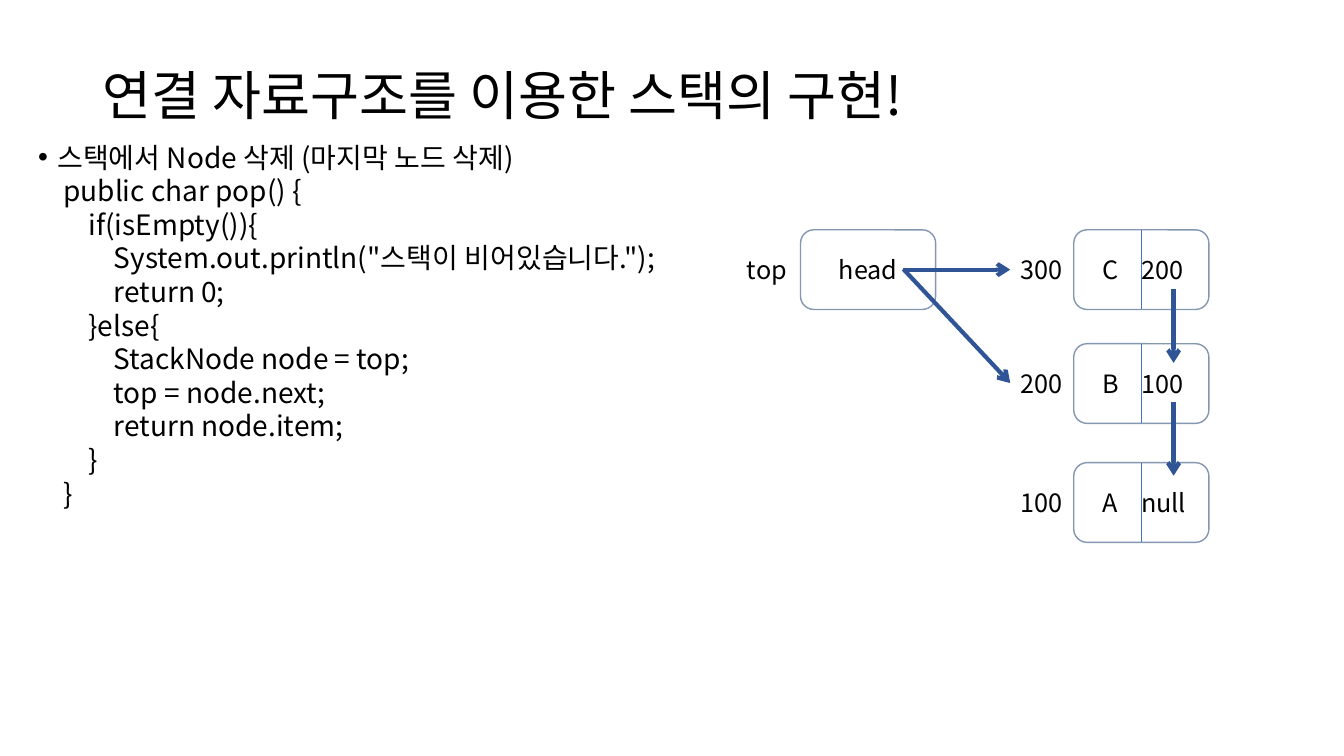
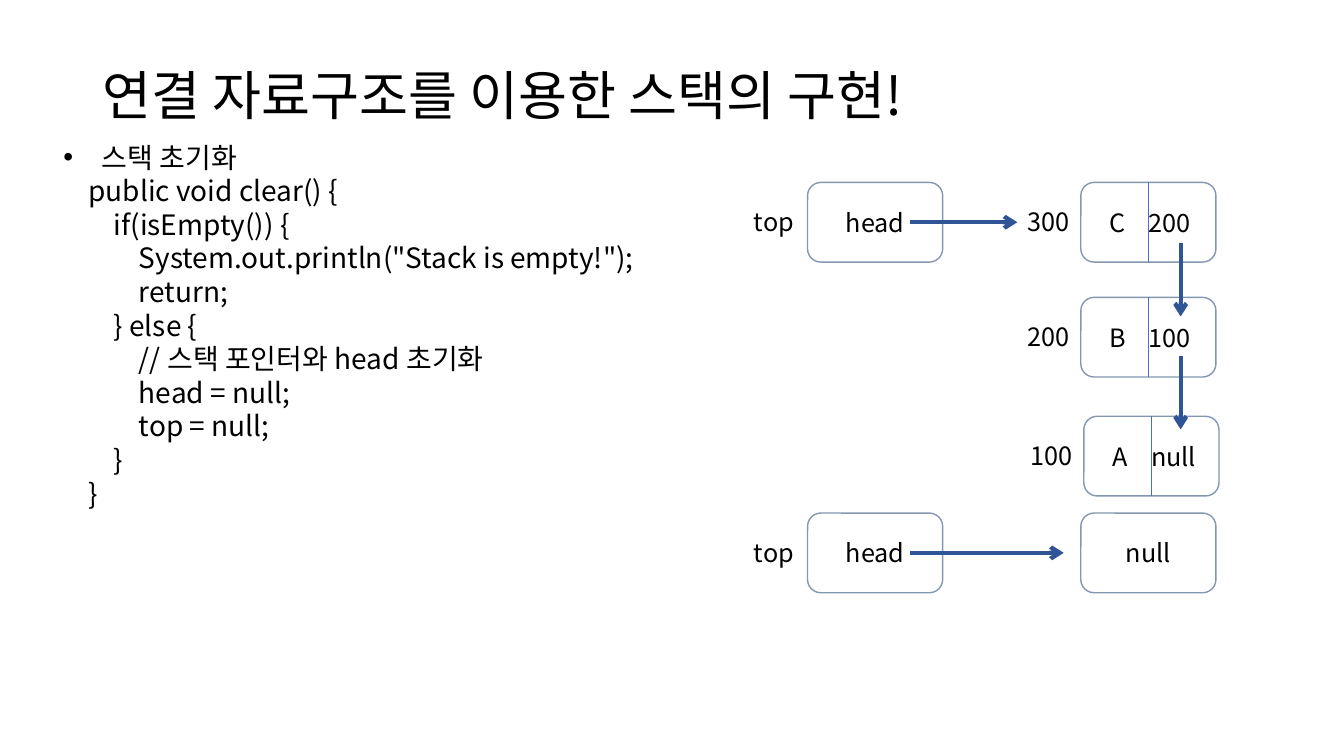
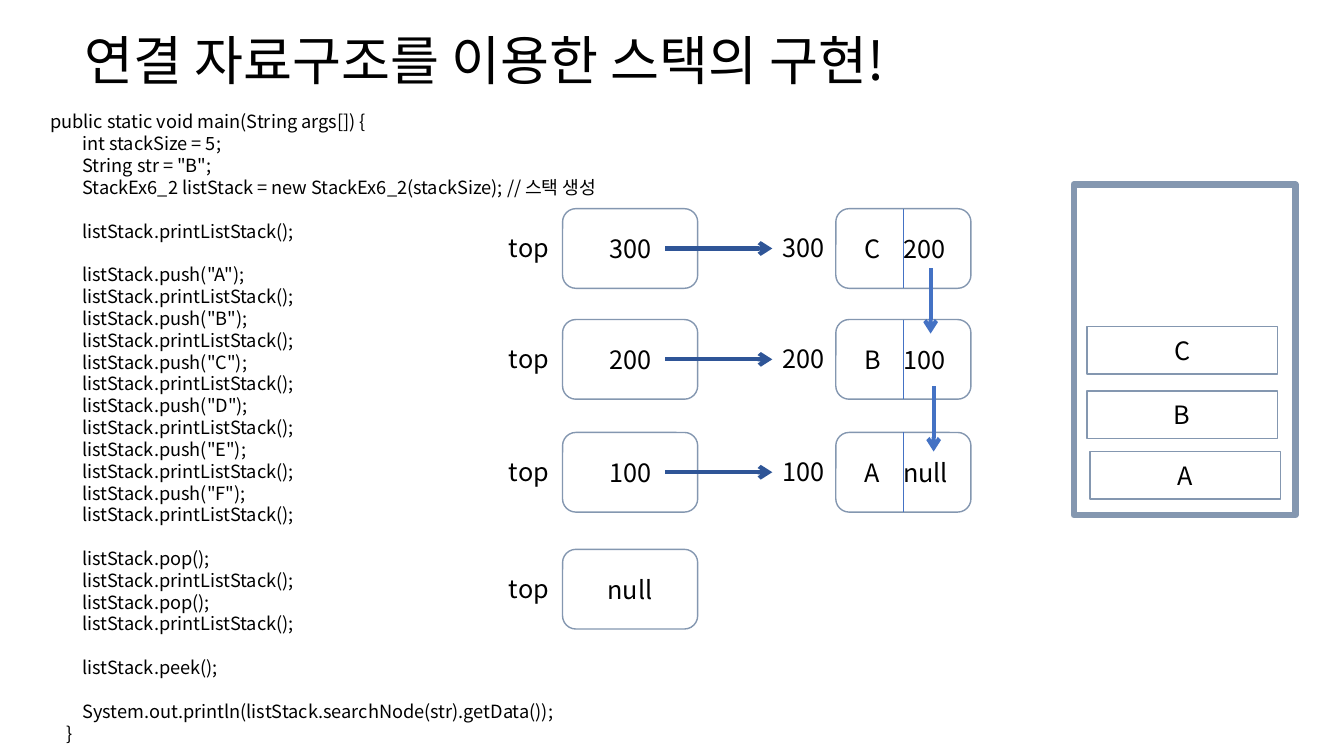
"""Builds three slides on a stack implemented with linked nodes."""
from dataclasses import dataclass

from lxml import etree
from pptx import Presentation
from pptx.dml.color import RGBColor
from pptx.enum.shapes import MSO_CONNECTOR, MSO_SHAPE
from pptx.enum.text import MSO_ANCHOR, MSO_AUTO_SIZE, PP_ALIGN
from pptx.oxml.ns import qn
from pptx.util import Inches, Pt

STRAIGHT = MSO_CONNECTOR.STRAIGHT
RECTANGLE = MSO_SHAPE.RECTANGLE
ROUNDED = MSO_SHAPE.ROUNDED_RECTANGLE
MIDDLE = MSO_ANCHOR.MIDDLE
NO_AUTOSIZE = MSO_AUTO_SIZE.NONE
LEFT = PP_ALIGN.LEFT
CENTER = PP_ALIGN.CENTER
TITLE_ONLY = 5


@dataclass(frozen=True)
class Theme:
    """Colours in RRGGBB, type sizes and line widths in points."""
    font: str = "Noto Sans CJK KR"
    ink: str = "000000"
    paper: str = "FFFFFF"
    outline: str = "8497B0"
    accent: str = "4472C4"
    accent_dark: str = "2F5597"
    title_size: int = 38
    code_size: int = 20
    listing_size: int = 13
    cell_size: int = 18
    line_pitch: float = 1.2
    hairline: float = 0.5
    border: float = 1
    frame: float = 4.5
    arrow: float = 3


THEME = Theme()
TITLE = "연결 자료구조를 이용한 스택의 구현!"
CELL_WIDTH, CELL_HEIGHT = 1.34, 0.79
LABEL_OFFSET = 0.63
POINTER_OFFSET = 1.02
POINTER_LENGTH = 1.06
NODE_DISTANCE = 2.71

POP_CODE = """스택에서 Node 삭제 (마지막 노드 삭제)
    public char pop() {
        if(isEmpty()){
            System.out.println("스택이 비어있습니다.");
            return 0;
        }else{
            StackNode node = top;
            top = node.next;
            return node.item;
        }
    }"""

CLEAR_CODE = """스택 초기화
    public void clear() {
        if(isEmpty()) {
            System.out.println("Stack is empty!");
            return;
        } else {
            // 스택 포인터와 head 초기화
            head = null;
            top = null;
        }
    }"""

MAIN_START = """public static void main(String args[]) {
        int stackSize = 5;
        String str = "B";
        StackEx6_2 listStack = new StackEx6_2(stackSize); // 스택 생성
"""

MAIN_END = """
        listStack.peek();

        System.out.println(listStack.searchNode(str).getData());
    }"""


def main_code():
    """Assemble the test program, which prints the stack after each step."""
    show = "        listStack.printListStack();"
    lines = [MAIN_START, show, ""]
    for item in "ABCDEF":
        lines += [f'        listStack.push("{item}");', show]
    lines += [""] + ["        listStack.pop();", show] * 2
    return "\n".join(lines + [MAIN_END])


def color(code):
    """Turn an RRGGBB code into a colour."""
    return RGBColor.from_string(code)


def style(paragraph, size, align=LEFT):
    """Give a paragraph its alignment and its runs the theme font."""
    paragraph.alignment = align
    for run in paragraph.runs:
        run.font.name = THEME.font
        run.font.size = Pt(size)
        run.font.color.rgb = color(THEME.ink)
        east_asian = etree.SubElement(run.font._element, qn("a:ea"))
        east_asian.set("typeface", THEME.font)


def add_titled_slide(deck, left, top, height):
    """Add a slide and place its title."""
    slide = deck.slides.add_slide(deck.slide_layouts[TITLE_ONLY])
    title = slide.shapes.title
    title.left, title.top = Inches(left), Inches(top)
    title.width, title.height = Inches(11.5), Inches(height)
    frame = title.text_frame
    frame.text = TITLE
    frame.auto_size = NO_AUTOSIZE
    frame.vertical_anchor = MIDDLE
    frame.paragraphs[0].line_spacing = 0.9
    style(frame.paragraphs[0], THEME.title_size)
    return slide


def add_text(slide, left, top, width, height):
    """Add an empty wrapping text box and return its frame."""
    box = slide.shapes.add_textbox(
        Inches(left), Inches(top), Inches(width), Inches(height))
    box.text_frame.word_wrap = True
    return box.text_frame


def add_bullet(paragraph, hang):
    """Give a paragraph a round bullet with a hanging indent."""
    properties = paragraph._p.get_or_add_pPr()
    properties.set("marL", str(Inches(hang)))
    properties.set("indent", str(-Inches(hang)))
    etree.SubElement(properties, qn("a:buFont")).set("typeface", "Arial")
    etree.SubElement(properties, qn("a:buChar")).set("char", "•")


def add_code(slide, left, top, height, code, size, level_width, hang=None):
    """Write code, turning leading spaces into indents and gaps into spacing."""
    frame = add_text(slide, left, top, 8.86, height)
    pitch = Pt(size * THEME.line_pitch)
    paragraph, gap = frame.paragraphs[0], 0
    for number, line in enumerate(code.splitlines()):
        text = line.lstrip()
        if not text:
            gap += pitch
            continue
        if number:
            paragraph = frame.add_paragraph()
        paragraph.text = text
        paragraph.line_spacing = pitch
        paragraph.space_before = Pt(gap / Pt(1))
        gap = 0
        style(paragraph, size)
        level = (len(line) - len(text)) // 4
        paragraph._p.get_or_add_pPr().set("marL", str(Inches(level * level_width)))
    if hang:
        add_bullet(frame.paragraphs[0], hang)


def add_box(slide, kind, left, top, width, height, text="", border=THEME.border):
    """Add an outlined white box with centred text."""
    box = slide.shapes.add_shape(
        kind, Inches(left), Inches(top), Inches(width), Inches(height))
    box.shadow.inherit = False
    box.fill.solid()
    box.fill.fore_color.rgb = color(THEME.paper)
    box.line.color.rgb = color(THEME.outline)
    box.line.width = Pt(border)
    frame = box.text_frame
    frame.text = text
    frame.vertical_anchor = MIDDLE
    style(frame.paragraphs[0], THEME.cell_size, CENTER)
    return frame


def add_line(slide, start, end, line_color, width, arrow=False):
    """Draw a straight line, with an open arrowhead if asked."""
    (x1, y1), (x2, y2) = start, end
    line = slide.shapes.add_connector(
        STRAIGHT, Inches(x1), Inches(y1), Inches(x2), Inches(y2))
    line.line.color.rgb = color(line_color)
    line.line.width = Pt(width)
    if arrow:
        outline = line.line._get_or_add_ln()
        etree.SubElement(outline, qn("a:tailEnd")).set("type", "arrow")
    etree.SubElement(line._element.spPr, qn("a:effectLst"))


def add_arrow(slide, start, end, arrow_color=THEME.accent_dark):
    """Draw a reference arrow."""
    add_line(slide, start, end, arrow_color, THEME.arrow, True)


def add_cell(slide, left, top, text, label=None):
    """Add a rounded cell with an optional label on its left."""
    frame = add_box(slide, ROUNDED, left, top, CELL_WIDTH, CELL_HEIGHT, text)
    if label:
        caption = add_text(slide, left - LABEL_OFFSET, top + 0.19, 0.87, 0.4)
        caption.text = label
        caption.vertical_anchor = MIDDLE
        style(caption.paragraphs[0], THEME.cell_size)
    return frame


def add_node(slide, left, top, address, item, following):
    """Add a node split into its item and the address that follows."""
    frame = add_cell(slide, left, top, f"{item}\t{following}", address)
    frame.margin_left = Inches(0.25)
    paragraph = frame.paragraphs[0]
    paragraph.alignment = LEFT
    stops = etree.SubElement(paragraph._p.get_or_add_pPr(), qn("a:tabLst"))
    stop = etree.SubElement(stops, qn("a:tab"))
    stop.set("pos", str(Inches(0.38)))
    stop.set("algn", "l")
    middle = left + CELL_WIDTH / 2
    add_line(slide, (middle, top), (middle, top + CELL_HEIGHT),
             THEME.accent, THEME.hairline)


def add_pointer(slide, left, top, text, length=POINTER_LENGTH):
    """Add the top cell and the arrow to what it refers to."""
    add_cell(slide, left, top, text, "top")
    x, y = left + POINTER_OFFSET, top + CELL_HEIGHT / 2
    add_arrow(slide, (x, y), (x + length, y))


def add_chain(slide, places):
    """Add the nodes C, B and A at their places."""
    contents = (("300", "C", "200"), ("200", "B", "100"), ("100", "A", "null"))
    for (left, top), content in zip(places, contents):
        add_node(slide, left, top, *content)


def add_links(slide, starts, length, link_color=THEME.accent_dark):
    """Draw the downward arrows between neighbouring nodes."""
    for x, y in starts:
        add_arrow(slide, (x, y), (x, y + length), link_color)


def build_pop(deck):
    """Show how the last node is removed."""
    slide = add_titled_slide(deck, 0.92, 0.4, 1.15)
    add_code(slide, 0.28, 1.34, 3.8, POP_CODE, THEME.code_size, 0.25, 0.19)
    node_left, first_top = 10.65, 2.28
    add_chain(slide, [(node_left, top) for top in (first_top, 3.41, 4.59)])
    pointer_left = node_left - NODE_DISTANCE
    add_pointer(slide, pointer_left, first_top, "head")
    add_arrow(slide, (pointer_left + POINTER_OFFSET, 2.67), (10.02, 3.8))
    add_links(slide, ((11.64, 2.87), (11.64, 3.99)), 0.73)


def build_clear(deck):
    """Show how the stack is emptied."""
    slide = add_titled_slide(deck, 0.92, 0.4, 1.15)
    add_code(slide, 0.53, 1.34, 4.14, CLEAR_CODE, THEME.code_size, 0.25, 0.38)
    node_left, first_top, cleared_top = 10.72, 1.81, 5.09
    add_chain(slide, [(node_left, first_top), (node_left, 2.95), (10.75, 4.13)])
    pointer_left = node_left - NODE_DISTANCE
    add_pointer(slide, pointer_left, first_top, "head")
    add_cell(slide, node_left, cleared_top, "null")
    add_pointer(slide, pointer_left, cleared_top, "head", 1.52)
    add_links(slide, ((11.71, 2.41), (11.71, 3.53)), 0.73)


def build_main(deck):
    """Show the test program and the growing stack."""
    slide = add_titled_slide(deck, 0.74, 0.19, 0.87)
    add_code(slide, 0.4, 1.05, 6.45, main_code(), THEME.listing_size, 0.16)
    node_left = 8.29
    pointer_left = node_left - NODE_DISTANCE
    tops = (2.07, 3.17, 4.29)
    add_chain(slide, [(node_left, top) for top in tops])
    for top, address in zip(tops, ("300", "200", "100")):
        add_pointer(slide, pointer_left, top, address)
    add_cell(slide, pointer_left, 5.45, "null", "top")
    add_links(slide, ((9.23, 2.66), (9.26, 3.83)), 0.65, THEME.accent)
    add_box(slide, RECTANGLE, 10.65, 1.83, 2.2, 3.28, border=THEME.frame)
    for item, left, top in (("A", 10.81, 4.48), ("B", 10.78, 3.88), ("C", 10.78, 3.24)):
        add_box(slide, RECTANGLE, left, top, 1.89, 0.47, item)


def main():
    """Build and save the deck."""
    deck = Presentation()
    deck.slide_width, deck.slide_height = Inches(13.33), Inches(7.5)
    build_pop(deck)
    build_clear(deck)
    build_main(deck)
    deck.save("out.pptx")


main()
